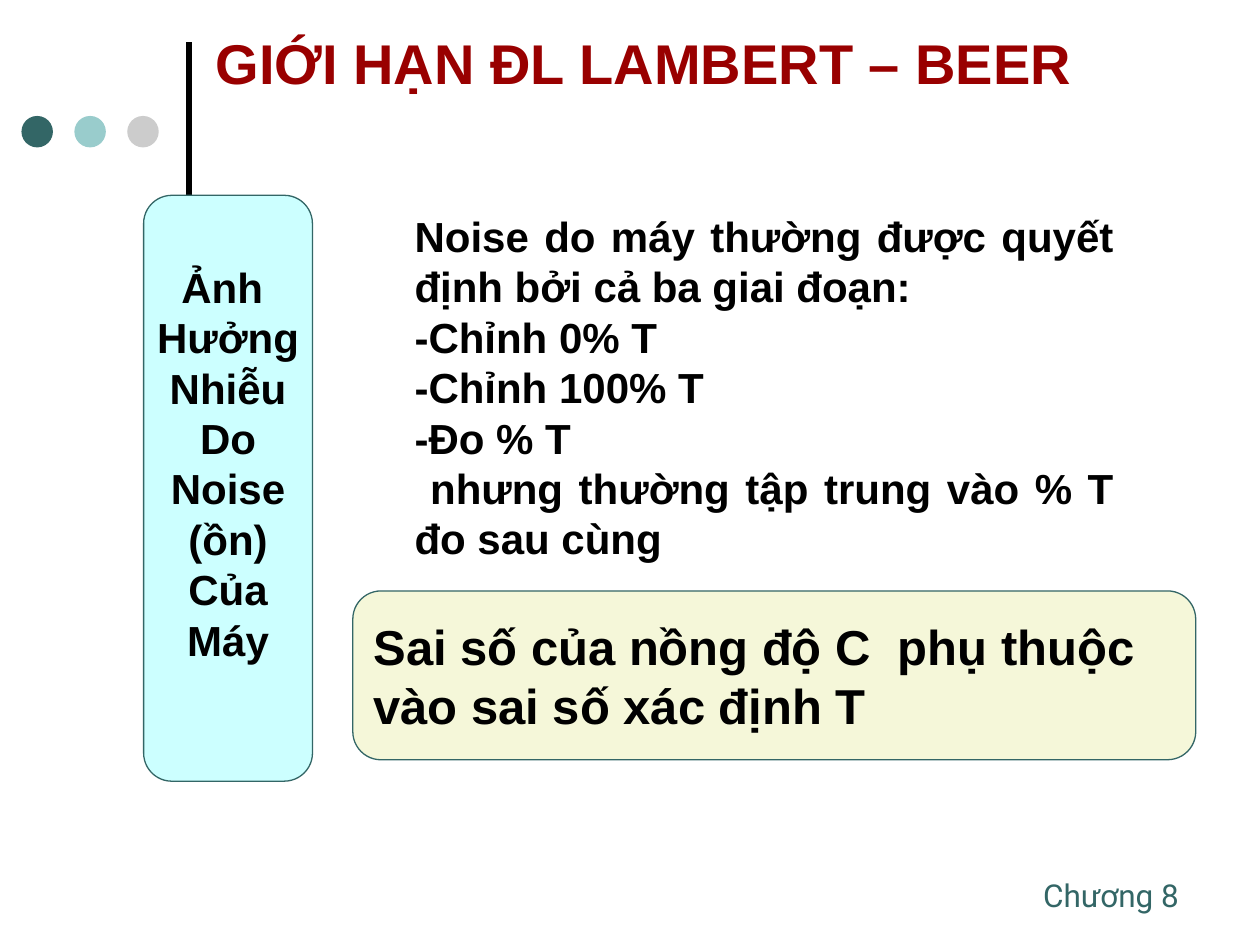
from dataclasses import dataclass

import pptx
import pptx.dml.color
import pptx.enum.shapes
import pptx.enum.text
import pptx.oxml.ns
import pptx.util
from lxml import etree
from pptx.util import Inches

COLORS = {
    "black": "000000",
    "title": "990000",
    "teal": "336666",
    "aqua": "99CCCC",
    "grey": "CCCCCC",
    "cyan": "CCFFFF",
    "cream": "F5F7D9",
}
ALIGN = pptx.enum.text.PP_ALIGN
ANCHOR = pptx.enum.text.MSO_ANCHOR
SHAPE = pptx.enum.shapes.MSO_SHAPE


@dataclass
class Box:
    left: float
    top: float
    width: float
    height: float

    def lengths(self) -> tuple:
        return tuple(Inches(v) for v in (self.left, self.top, self.width, self.height))


@dataclass
class Panel:
    box: Box
    fill: str
    corner: float
    lines: list
    text_format: dict


def rgb(name: str):
    return pptx.dml.color.RGBColor.from_string(COLORS[name])


def write_text(shape, lines: list, *, size=24, font="Arial", color="black", bold=True,
               align=ALIGN.LEFT, anchor=ANCHOR.TOP, wrap=True, bottom=0.05) -> None:
    frame = shape.text_frame
    frame.auto_size = pptx.enum.text.MSO_AUTO_SIZE.NONE
    frame.word_wrap = wrap
    frame.vertical_anchor = anchor
    frame.margin_left = frame.margin_right = Inches(0.1)
    frame.margin_top, frame.margin_bottom = Inches(0.05), Inches(bottom)
    for index, line in enumerate(lines):
        paragraph = frame.add_paragraph() if index else frame.paragraphs[0]
        paragraph.alignment = align
        paragraph.space_before = pptx.util.Pt(0)
        properties = paragraph._p.get_or_add_pPr()
        properties.set("marL", "0")
        properties.set("indent", "0")
        etree.SubElement(properties, pptx.oxml.ns.qn("a:buNone"))
        run = paragraph.add_run()
        run.text = line
        run.font.size = pptx.util.Pt(size)
        run.font.name = font
        run.font.bold = bold
        run.font.color.rgb = rgb(color)


def place(shape, box: Box) -> None:
    shape.left, shape.top, shape.width, shape.height = box.lengths()


def add_filled(slide, kind, box: Box, fill: str):
    shape = slide.shapes.add_shape(kind, *box.lengths())
    shape.shadow.inherit = False
    shape.fill.solid()
    shape.fill.fore_color.rgb = rgb(fill)
    shape.line.fill.background()
    return shape


def add_panel(slide, panel: Panel) -> None:
    shape = add_filled(slide, SHAPE.ROUNDED_RECTANGLE, panel.box, panel.fill)
    shape.adjustments[0] = panel.corner
    shape.line.color.rgb = rgb("teal")
    shape.line.width = pptx.util.Pt(0.75)
    write_text(shape, panel.lines, **panel.text_format)


def main() -> None:
    deck = pptx.Presentation()
    deck.slide_width, deck.slide_height = Inches(10), Inches(7.5)
    slide = deck.slides.add_slide(deck.slide_layouts[1])

    # Title and body
    title, body = slide.placeholders
    place(title, Box(1.61, 0, 7.72, 0.99))
    write_text(title, ["GIỚI HẠN ĐL LAMBERT – BEER"], size=32, color="title",
               anchor=ANCHOR.MIDDLE)
    place(body, Box(3.19, 1.62, 5.75, 2.9))
    write_text(body, [
        "Noise do máy thường được quyết định bởi cả ba giai đoạn:",
        "-Chỉnh 0% T",
        "-Chỉnh 100% T",
        "-Đo % T",
        " nhưng thường tập trung vào % T đo sau cùng",
    ], align=ALIGN.JUSTIFY)

    # Vertical rule and dots
    rule = slide.shapes.add_connector(
        pptx.enum.shapes.MSO_CONNECTOR.STRAIGHT,
        Inches(1.5), Inches(1.75), Inches(1.5), Inches(0.33))
    rule.line.color.rgb = rgb("black")
    rule.line.width = pptx.util.Pt(3)
    etree.SubElement(rule._element.spPr, pptx.oxml.ns.qn("a:effectLst"))
    for index, color in enumerate(("teal", "aqua", "grey")):
        add_filled(slide, SHAPE.OVAL, Box(0.17 + 0.42 * index, 0.92, 0.25, 0.25), color)

    # Chapter label
    chapter = slide.shapes.add_textbox(*Box(8.18, 6.9, 1.35, 0.4).lengths())
    write_text(chapter, ["Chương 8"], size=18, font="Roboto", color="teal",
               bold=False, wrap=False)

    # Topic column and conclusion
    panels = [
        Panel(Box(1.14, 1.55, 1.34, 4.65), "cyan", 0.167,
              ["Ảnh ", "Hưởng", "Nhiễu", "Do", "Noise", "(ồn)", "Của", "Máy"],
              dict(align=ALIGN.CENTER, anchor=ANCHOR.MIDDLE, wrap=False, bottom=0.45)),
        Panel(Box(2.8, 4.69, 6.69, 1.34), "cream", 0.167,
              ["Sai số của nồng độ C  phụ thuộc", "vào sai số xác định T"],
              dict(size=28, anchor=ANCHOR.MIDDLE)),
    ]
    for panel in panels:
        add_panel(slide, panel)

    deck.save("out.pptx")


if __name__ == "__main__":
    main()
